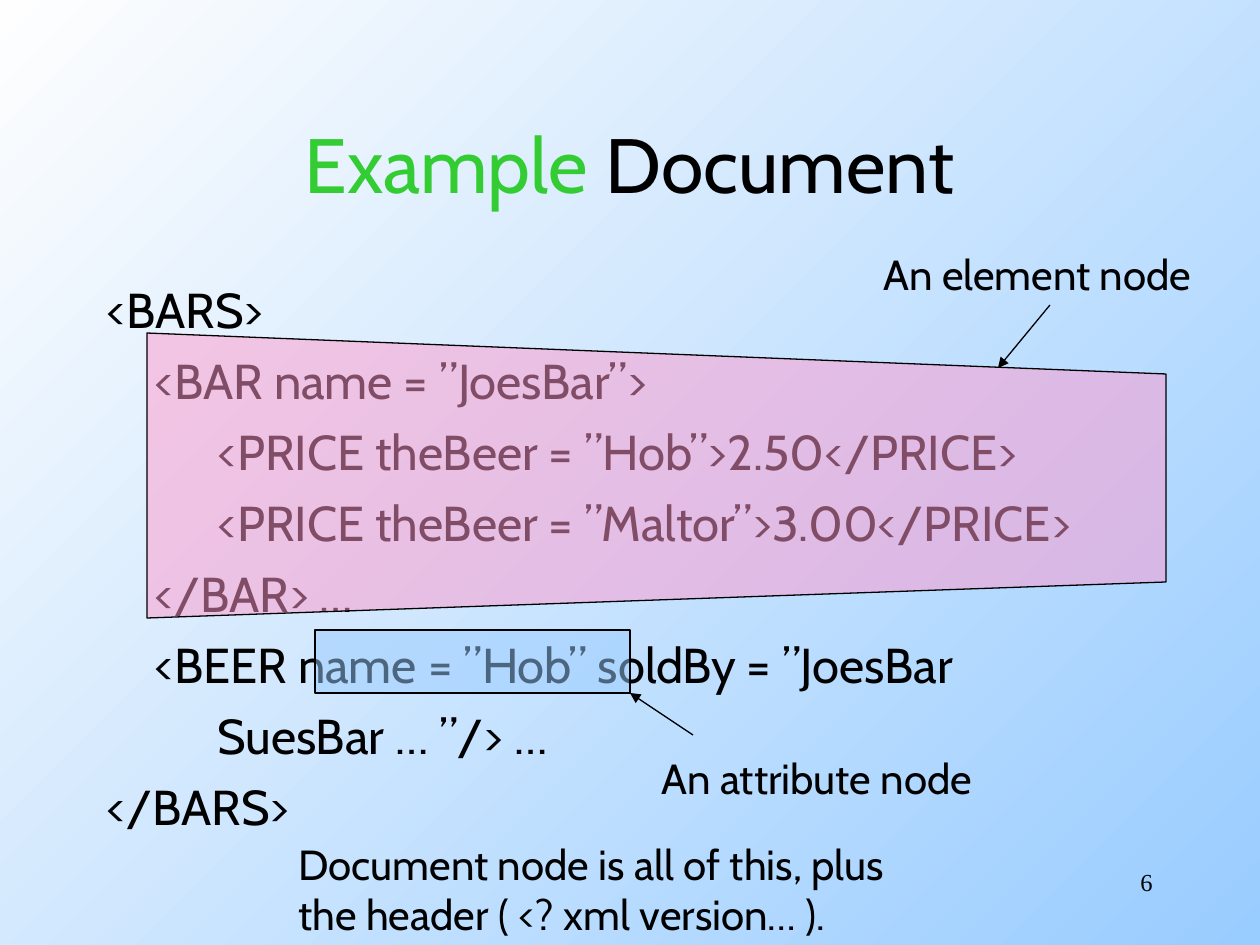
import pptx
import pptx.dml.color
import pptx.enum.dml
import pptx.enum.shapes
import pptx.enum.text
import pptx.oxml
import pptx.oxml.ns
import pptx.util
from lxml import etree

PX = 914400 // 126  # EMU per px
BLACK = "000000"
SKY = "99CCFF"
ALIGN = pptx.enum.text.PP_ALIGN

CODE_LINES = [
    "<BARS>",
    "\t<BAR name = ”JoesBar”>",
    "\t\t<PRICE theBeer = ”Hob”>2.50</PRICE>",
    "\t\t<PRICE theBeer = ”Maltor”>3.00</PRICE>",
    "\t</BAR> …",
    "\t<BEER name = ”Hob” soldBy = ”JoesBar",
    "\t\tSuesBar … ”/> …",
    "</BARS>",
]


def px(*lengths):
    return [pptx.util.Emu(length * PX) for length in lengths]


def color(hex_string):
    return pptx.dml.color.RGBColor.from_string(hex_string)


def add_xml(parent, tag, **attributes):
    child = etree.SubElement(parent, pptx.oxml.ns.qn(tag))
    for name, value in attributes.items():
        child.set(name, str(value))
    return child


def paint_background(slide):
    fill = slide.background.fill
    fill.gradient()
    fill.gradient_angle = 135
    for stop, shade in zip(fill.gradient_stops, (SKY, "FEFEFE")):
        stop.color.rgb = color(shade)


def add_text(slide, box, lines, size, font="Cabin", align=ALIGN.LEFT):
    frame = slide.shapes.add_textbox(*px(*box)).text_frame
    frame.word_wrap = True
    frame.text = "\n".join(lines)
    for paragraph in frame.paragraphs:
        paragraph.alignment = align
        for run in paragraph.runs:
            run.font.size = pptx.util.Pt(size)
            run.font.name = font
            run.font.color.rgb = color(BLACK)
    return frame


def add_title(slide, box, lead, rest):
    frame = add_text(slide, box, [lead], 44, align=ALIGN.CENTER)
    frame.vertical_anchor = pptx.enum.text.MSO_ANCHOR.MIDDLE
    lead_run = frame.paragraphs[0].runs[0]
    lead_run.font.color.rgb = color("33CC33")
    rest_run = frame.paragraphs[0].add_run()
    rest_run.text = rest
    rest_run.font.size = lead_run.font.size
    rest_run.font.name = lead_run.font.name
    rest_run.font.color.rgb = color(BLACK)


def add_code(slide, box, lines):
    """Code listing with a hanging indent and tab stops an inch apart after it."""
    frame = add_text(slide, box, lines, 28)
    indent, tab_gap = px(48, 126)
    for index, paragraph in enumerate(frame.paragraphs):
        if index:
            paragraph.space_before = pptx.util.Pt(7)
        properties = paragraph._p.get_or_add_pPr()
        properties.set("marL", str(indent))
        properties.set("indent", str(-indent))
        add_xml(properties, "a:buNone")
        tabs = add_xml(properties, "a:tabLst")
        for step in range(8):
            add_xml(tabs, "a:tab", pos=indent + step * tab_gap, algn="l")


def style_highlight(shape, fill):
    """Half-transparent fill with a thin black outline."""
    shape.shadow.inherit = False
    shape.fill.solid()
    shape.fill.fore_color.rgb = color(fill)
    shade = shape._element.spPr.find(".//" + pptx.oxml.ns.qn("a:srgbClr"))
    add_xml(shade, "a:alpha", val=50000)
    shape.line.color.rgb = color(BLACK)
    shape.line.width = pptx.util.Pt(0.75)


def add_polygon(slide, corners, fill):
    builder = slide.shapes.build_freeform(*corners[0], scale=PX)
    builder.add_line_segments(corners[1:], close=True)
    style_highlight(builder.convert_to_shape(), fill)


def add_box(slide, box, fill):
    kind = pptx.enum.shapes.MSO_SHAPE.RECTANGLE
    style_highlight(slide.shapes.add_shape(kind, *px(*box)), fill)


def add_arrow(slide, start, end):
    kind = pptx.enum.shapes.MSO_CONNECTOR.STRAIGHT
    arrow = slide.shapes.add_connector(kind, *px(*start, *end))
    arrow.line.color.rgb = color(BLACK)
    arrow.line.width = pptx.util.Pt(0.75)
    add_xml(arrow.line._get_or_add_ln(), "a:tailEnd", type="triangle")
    add_xml(arrow._element.spPr, "a:effectLst")


def main():
    deck = pptx.Presentation()
    deck.slide_width, deck.slide_height = px(1260, 945)
    slide = deck.slides.add_slide(deck.slide_layouts[6])
    paint_background(slide)

    # Title and code
    add_title(slide, (94, 84, 1071, 158), "Example", " Document")
    add_code(slide, (94, 273, 1113, 567), CODE_LINES)

    # Element node
    element_corners = [(147, 333), (1166, 374), (1166, 582), (147, 618)]
    add_polygon(slide, element_corners, "FF99CC")
    add_text(slide, (871, 242, 363, 63), ["An element node"], 24)
    add_arrow(slide, (1050, 305), (998, 368))

    # Attribute node
    add_box(slide, (315, 630, 315, 63), SKY)
    add_text(slide, (649, 746, 373, 63), ["An attribute node"], 24)
    add_arrow(slide, (693, 735), (630, 693))

    # Document node and page number
    document_note = ["Document node is all of this, plus",
                     "the header ( <? xml version… )."]
    add_text(slide, (286, 832, 679, 113), document_note, 24)
    add_text(slide, (903, 861, 262, 63), ["6"], 14, "Times New Roman", ALIGN.RIGHT)

    deck.save("out.pptx")


if __name__ == "__main__":
    main()
